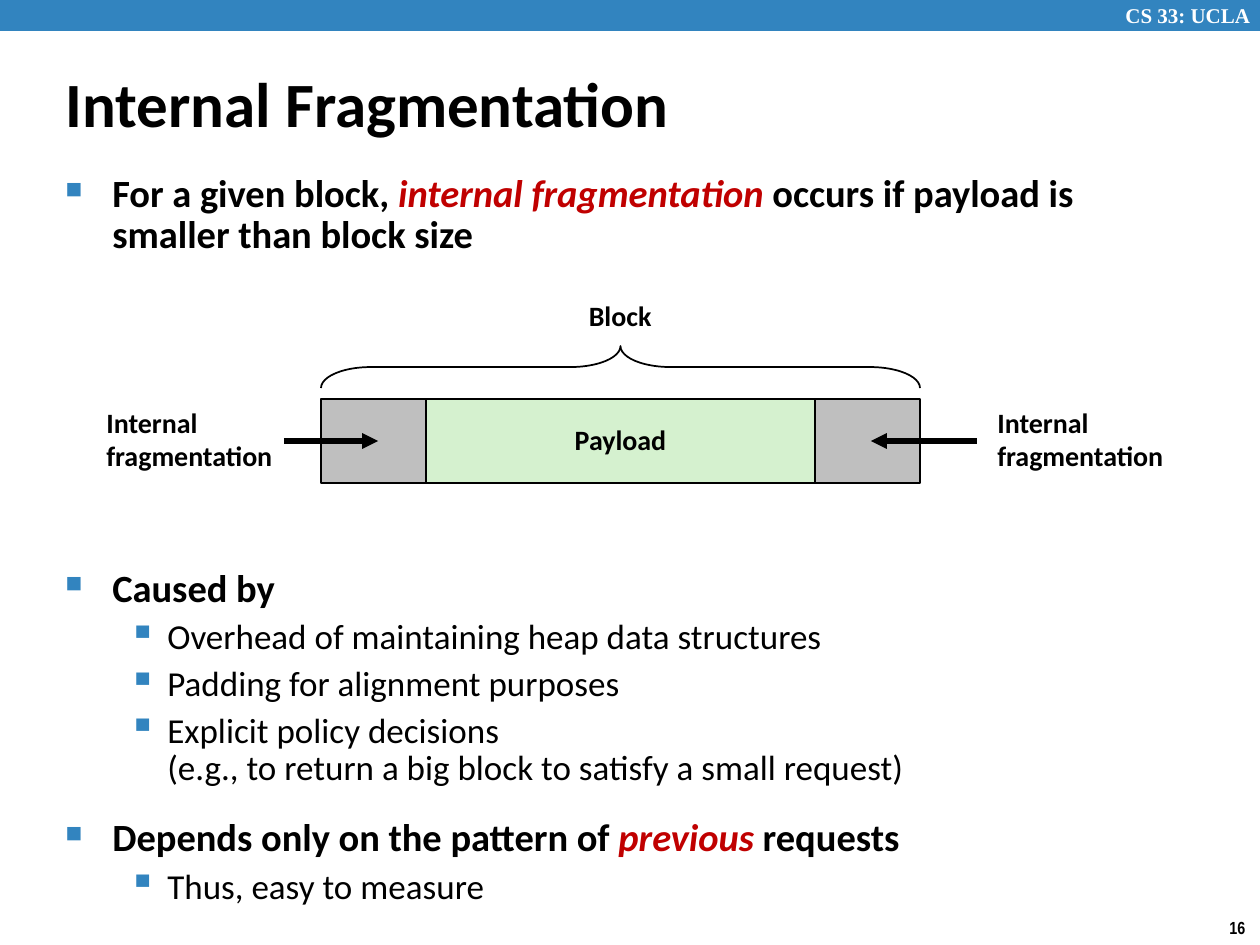
from lxml.etree import SubElement
from pptx import Presentation
from pptx.dml.color import RGBColor
from pptx.enum.shapes import MSO_CONNECTOR, MSO_SHAPE
from pptx.enum.text import MSO_ANCHOR, MSO_AUTO_SIZE, PP_ALIGN
from pptx.oxml.ns import qn
from pptx.util import Emu, Pt

EMU_PER_PIXEL = 914400 / 126
BLACK, WHITE, BLUE, RED = "000000", "FFFFFF", "3284BF", "C00000"
GREEN, GRAY = "D5F1CF", "BFBFBF"

BULLET_LEVELS = [
    dict(symbol="■", percent=60, margin=47, indent=-47, size=22, bold=True),
    dict(symbol="▪", percent=110, margin=102, indent=-39, size=20, bold=False),
]
BULLETS = [
    (0, 0, ["For a given block, ", "*internal fragmentation ",
            "occurs if payload is smaller than block size"]),
    (0, 179, ["Caused by"]),
    (1, 5.6, ["Overhead of maintaining heap data structures"]),
    (1, 5.6, ["Padding for alignment purposes"]),
    (1, 5.6, ["Explicit policy decisions", "\n",
              "(e.g., to return a big block to satisfy a small request)"]),
    (0, 18, ["Depends only on the pattern of ", "*previous", " requests"]),
    (1, 5.6, ["Thus, easy to measure"]),
]


def px(value):
    return Emu(round(value * EMU_PER_PIXEL))


def rgb(value):
    return RGBColor.from_string(value)


def place(box):
    return [px(value) for value in box]


def write_text(paragraph, text, size=16, font="Calibri", color=BLACK, bold=True, italic=False):
    run = paragraph.add_run()
    run.text = text
    run.font.size = Pt(size)
    run.font.name = font
    run.font.bold = bold
    run.font.italic = italic
    run.font.color.rgb = rgb(color)


def add_label(slide, box, lines, spacing=0.98, **text_format):
    frame = slide.shapes.add_textbox(*place(box)).text_frame
    frame.word_wrap = False
    for index, line in enumerate(lines):
        paragraph = frame.add_paragraph() if index else frame.paragraphs[0]
        paragraph.line_spacing = spacing
        write_text(paragraph, line, **text_format)


def add_box(slide, box, kind=MSO_SHAPE.RECTANGLE, fill=None, line=BLACK):
    shape = slide.shapes.add_shape(kind, *place(box))
    shape.shadow.inherit = False
    if fill:
        shape.fill.solid()
        shape.fill.fore_color.rgb = rgb(fill)
    else:
        shape.fill.background()
    if line:
        shape.line.color.rgb = rgb(line)
        shape.line.width = Pt(1)
    else:
        shape.line.fill.background()
    return shape


def add_arrow(slide, start, end, y):
    arrow = slide.shapes.add_connector(MSO_CONNECTOR.STRAIGHT, px(start), px(y), px(end), px(y))
    arrow.line.color.rgb = rgb(BLACK)
    arrow.line.width = Pt(3)
    SubElement(arrow.line._get_or_add_ln(), qn("a:tailEnd"), type="triangle")
    SubElement(arrow._element.spPr, qn("a:effectLst"))


def add_header(slide, box):
    left, top, width, height = box
    add_box(slide, box, fill=BLUE, line=None)
    add_label(slide, (left + width - 147, top - 4, 156, 38), ["CS 33: UCLA"],
              spacing=1.0, size=12, font="Times New Roman", color=WHITE)


def add_title(slide, box, text):
    title = slide.shapes.title
    title.left, title.top, title.width, title.height = place(box)
    frame = title.text_frame
    frame.auto_size = MSO_AUTO_SIZE.NONE
    frame.vertical_anchor = MSO_ANCHOR.MIDDLE
    paragraph = frame.paragraphs[0]
    paragraph.alignment = PP_ALIGN.LEFT
    write_text(paragraph, text, size=36)


def set_bullet(paragraph, symbol, percent, margin, indent):
    properties = paragraph._p.get_or_add_pPr()
    properties.set("marL", str(px(margin)))
    properties.set("indent", str(px(indent)))
    color = SubElement(properties, qn("a:buClr"))
    SubElement(color, qn("a:srgbClr"), val=BLUE)
    SubElement(properties, qn("a:buSzPct"), val=str(percent * 1000))
    SubElement(properties, qn("a:buChar"), char=symbol)


def add_bullets(slide, box):
    frame = slide.shapes.add_textbox(*place(box)).text_frame
    frame.word_wrap = True
    for index, (level, space, parts) in enumerate(BULLETS):
        paragraph = frame.add_paragraph() if index else frame.paragraphs[0]
        style = BULLET_LEVELS[level]
        set_bullet(paragraph, style["symbol"], style["percent"], style["margin"], style["indent"])
        paragraph.level = level
        paragraph.line_spacing = 0.88
        paragraph.space_before = Pt(space)
        for part in parts:
            if part == "\n":
                paragraph.add_line_break()
                continue
            emphasis = part.startswith("*")
            write_text(paragraph, part.lstrip("*"), size=style["size"], bold=style["bold"],
                       italic=emphasis, color=RED if emphasis else BLACK)


def add_block_diagram(slide, box):
    left, top, width, height = box
    padding = 105
    right = left + width
    middle = top + height / 2
    payload = add_box(slide, (left + padding, top, width - 2 * padding, height), fill=GREEN)
    payload.text_frame.word_wrap = False
    payload.text_frame.vertical_anchor = MSO_ANCHOR.MIDDLE
    paragraph = payload.text_frame.paragraphs[0]
    paragraph.alignment = PP_ALIGN.CENTER
    paragraph.line_spacing = 0.98
    write_text(paragraph, "Payload")

    for pad_left in (left, right - padding):
        add_box(slide, (pad_left, top, padding, height), fill=GRAY)
    for label_left in (left - 227, right + 65):
        add_label(slide, (label_left, top + 2, 193, 79), ["Internal", "fragmentation"])
    add_arrow(slide, left - 37, left + 57, middle)
    add_arrow(slide, right + 57, right - 49, middle)

    center = left + width / 2
    depth = 42
    brace = add_box(slide, (center - depth / 2, top - 32 - width / 2, depth, width),
                    kind=MSO_SHAPE.RIGHT_BRACE)
    brace.rotation = 270
    brace.adjustments[0] = 1.19
    brace.adjustments[1] = 0.5
    add_label(slide, (center - 44, top - 105, 88, 47), ["Block"])


def main():
    presentation = Presentation()
    presentation.slide_width = px(1260)
    presentation.slide_height = px(945)
    slide = presentation.slides.add_slide(presentation.slide_layouts[5])
    add_header(slide, (0, 0, 1260, 31))
    add_label(slide, (1217, 911, 43, 34), ["16"], spacing=1.0, size=10, font="Arial Narrow")
    add_title(slide, (53, 63, 927, 79), "Internal Fragmentation")
    add_bullets(slide, (53, 169, 1145, 745))
    add_block_diagram(slide, (321, 399, 599, 84))
    presentation.save("out.pptx")


if __name__ == "__main__":
    main()
